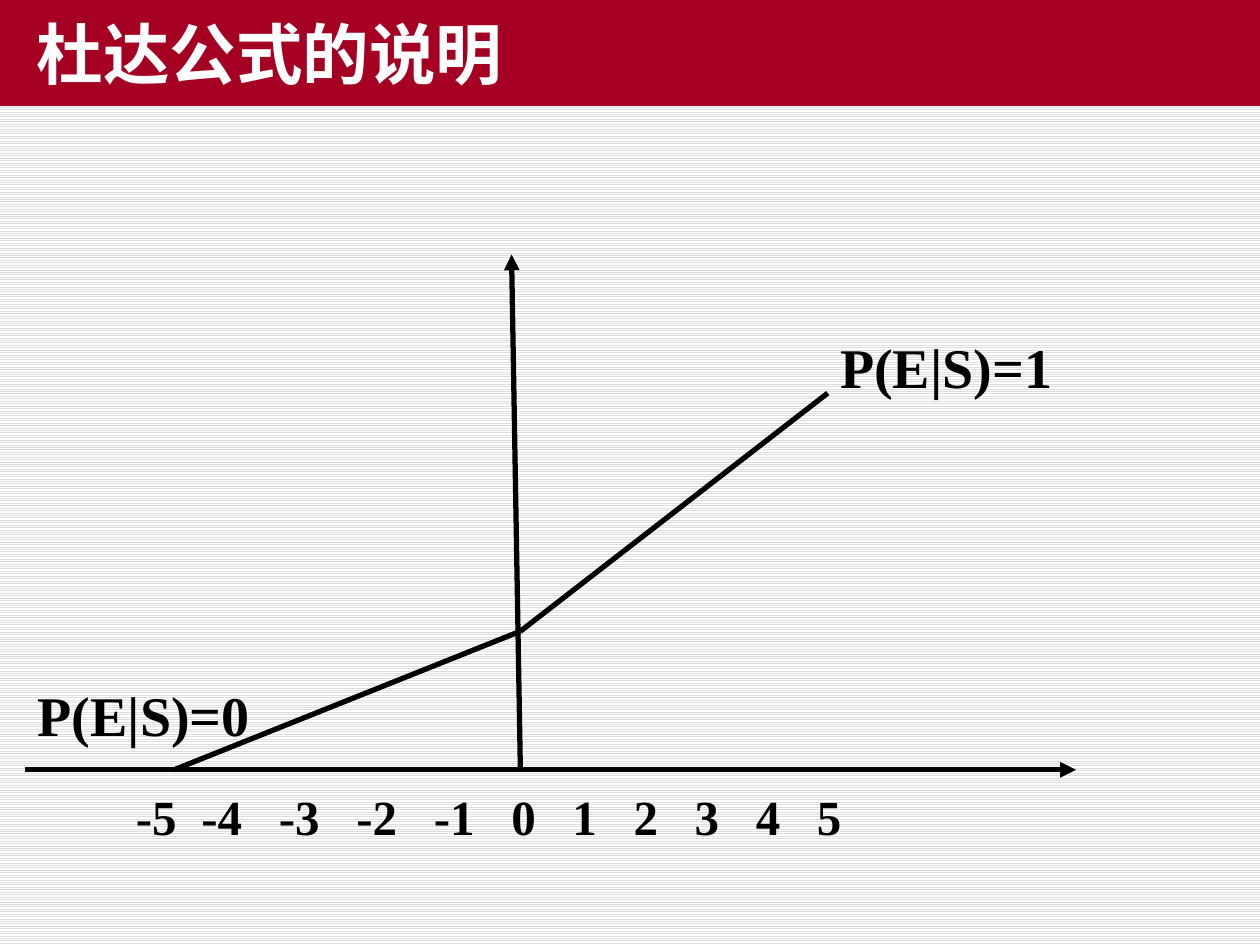
"""Build the slide that explains the Duda formula as a piecewise linear graph."""
from lxml.etree import SubElement
from pptx import Presentation
from pptx.dml.color import RGBColor
from pptx.enum.dml import MSO_PATTERN
from pptx.enum.shapes import MSO_CONNECTOR, MSO_SHAPE
from pptx.enum.text import MSO_ANCHOR, PP_ALIGN
from pptx.oxml.ns import qn
from pptx.util import Inches, Pt

BLACK = RGBColor(0, 0, 0)
WHITE = RGBColor(255, 255, 255)
STRIPE = RGBColor(0xDD, 0xDD, 0xDD)
CRIMSON = RGBColor(0xA5, 0x00, 0x21)

WIDTH, HEIGHT = 10, 7.5
TITLE = "杜达公式的说明"
TICKS = range(-5, 6)
FIRST_TAB, NEGATIVE_STEP, POSITIVE_STEP = 0.52, 0.615, 0.485
LABELS = [
    ("P(E|S)=1", (6.57, 2.59, 2.33, 0.64)),
    ("P(E|S)=0", (0.2, 5.35, 2, 0.64)),
]
BASE = 6.11
ORIGIN = (4.13, BASE)
PRIOR = (4.13, 5.01)
LINES = [
    (ORIGIN, (4.06, 2.02), True),
    ((0.2, BASE), (8.54, BASE), True),
    (PRIOR, (6.57, 3.12), False),
    ((1.38, BASE), PRIOR, False),
]


def write(shape, text, size, font="Times New Roman", color=BLACK,
          anchor=MSO_ANCHOR.TOP, inset=0.1, tabs=()):
    frame = shape.text_frame
    frame.word_wrap = True
    frame.vertical_anchor = anchor
    frame.margin_left = Inches(inset)
    paragraph = frame.paragraphs[0]
    paragraph.text = text
    paragraph.alignment = PP_ALIGN.LEFT
    if tabs:
        stops = SubElement(paragraph._p.get_or_add_pPr(), qn("a:tabLst"))
        for stop in tabs:
            SubElement(stops, qn("a:tab"), pos=str(Inches(stop)), algn="l")
    paragraph.font.name = font
    paragraph.font.size = Pt(size)
    paragraph.font.bold = True
    paragraph.font.color.rgb = color


def draw_line(slide, start, end, arrow):
    line = slide.shapes.add_connector(
        MSO_CONNECTOR.STRAIGHT, *map(Inches, start + end))
    line.line.color.rgb = BLACK
    line.line.width = Pt(3)
    if arrow:
        SubElement(line.line._get_or_add_ln(), qn("a:tailEnd"), type="triangle")
    SubElement(line._element.spPr, qn("a:effectLst"))


def tab_stop(tick):
    zero = FIRST_TAB + 4 * NEGATIVE_STEP
    return zero + tick * (NEGATIVE_STEP if tick < 0 else POSITIVE_STEP)


def main():
    deck = Presentation()
    deck.slide_width, deck.slide_height = Inches(WIDTH), Inches(HEIGHT)
    slide = deck.slides.add_slide(deck.slide_layouts[6])
    backdrop = slide.background.fill
    backdrop.patterned()
    backdrop.pattern = MSO_PATTERN.LIGHT_HORIZONTAL
    backdrop.fore_color.rgb = STRIPE
    backdrop.back_color.rgb = WHITE

    for start, end, arrow in LINES:
        draw_line(slide, start, end, arrow)

    scale = slide.shapes.add_textbox(*map(Inches, (0.98, 6.19, 6.06, 0.57)))
    write(scale, "\t".join(map(str, TICKS)), 28,
          tabs=[tab_stop(tick) for tick in TICKS[1:]])
    for text, place in LABELS:
        write(slide.shapes.add_textbox(*map(Inches, place)), text, 32)

    banner = slide.shapes.add_shape(
        MSO_SHAPE.RECTANGLE, 0, 0, Inches(WIDTH), Inches(0.84))
    banner.shadow.inherit = False
    banner.fill.solid()
    banner.fill.fore_color.rgb = CRIMSON
    banner.line.fill.background()
    write(banner, TITLE, 38, font="Arial", color=WHITE,
          anchor=MSO_ANCHOR.MIDDLE, inset=0.29)
    deck.save("out.pptx")


if __name__ == "__main__":
    main()
